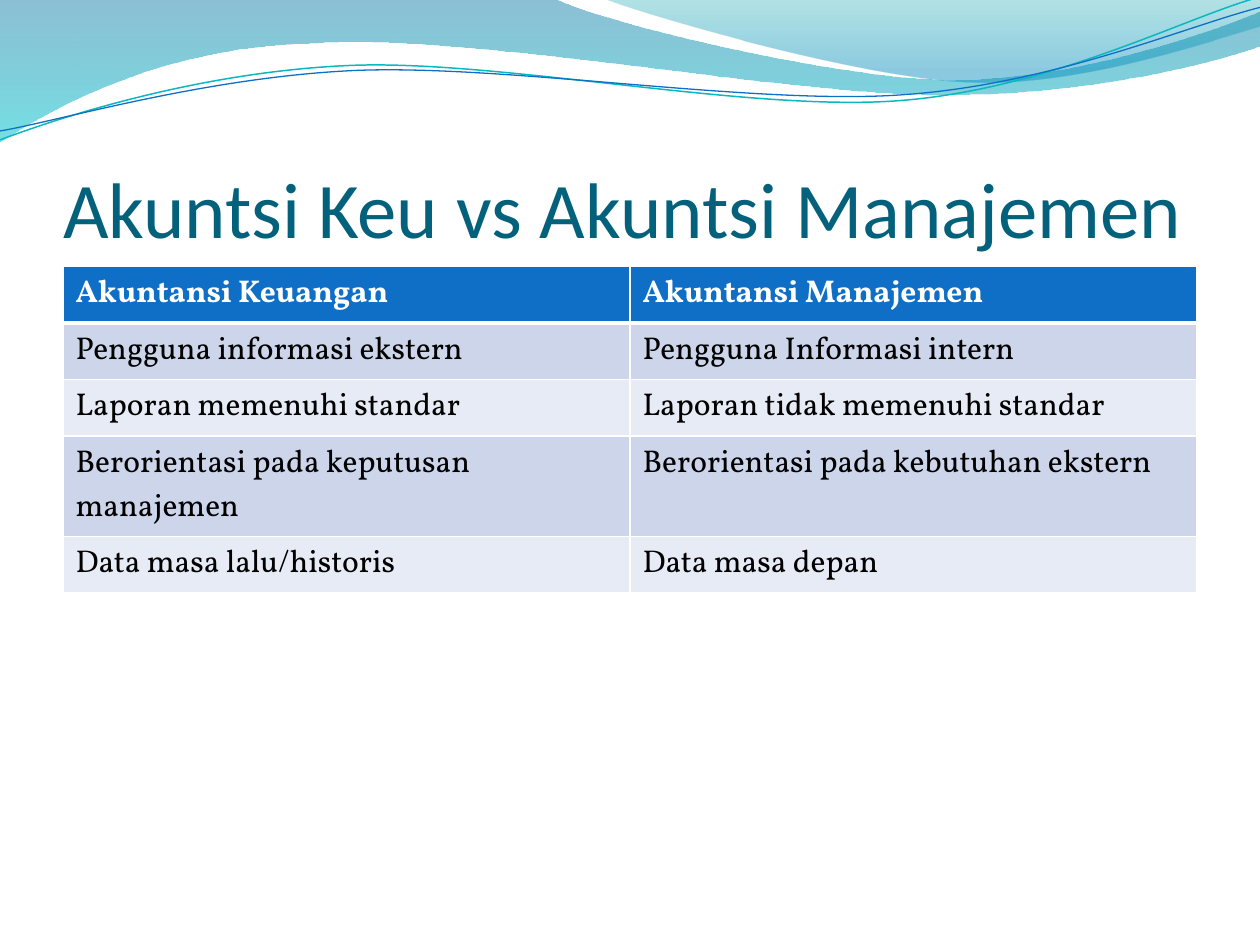
import math

from lxml import etree
from pptx import Presentation
from pptx.dml.color import RGBColor
from pptx.enum.text import MSO_ANCHOR, MSO_AUTO_SIZE, PP_ALIGN
from pptx.oxml import parse_xml
from pptx.oxml.ns import nsdecls, qn
from pptx.util import Cm, Pt

LEFT = PP_ALIGN.LEFT
BOTTOM = MSO_ANCHOR.BOTTOM
NO_AUTOFIT = MSO_AUTO_SIZE.NONE
WAVE_TILT = 2.7
COLORS = {
    "title": "04617B", "header": "0F6FC6", "odd": "CCD5EA", "even": "E7EBF5",
    "white": "FFFFFF", "black": "000000", "teal": "0AB8BF", "blue": "0F6FC6",
}


def write_text(text_frame, text, font="Vollkorn", size=18, color="black", bold=False):
    """Put one left-aligned, formatted run into a text frame."""
    paragraph = text_frame.paragraphs[0]
    paragraph.alignment = LEFT
    run = paragraph.add_run()
    run.text = text
    run.font.name = font
    run.font.size = Pt(size)
    run.font.bold = bold
    run.font.color.rgb = RGBColor.from_string(COLORS[color])


def draw_curve(shapes, start, segments, closed, tilt=0, center=(0, 0)):
    """Draw a freeform from lines (one point) and Bezier curves (three points), in cm."""
    cosine, sine = math.cos(math.radians(tilt)), math.sin(math.radians(tilt))
    lengths = []
    for x, y in [start, *(point for segment in segments for point in segment)]:
        across, down = x - center[0], y - center[1]
        lengths.append((Cm(center[0] + across * cosine - down * sine),
                        Cm(center[1] + across * sine + down * cosine)))
    builder = shapes.build_freeform(*lengths[0], scale=1.0)
    builder.add_line_segments(lengths[1:], close=closed)
    shape = builder.convert_to_shape()
    shape.shadow.inherit = False
    shape.rotation = -tilt
    straight_parts = iter(list(shape._element.iter(qn("a:lnTo"))))
    for segment in segments:
        parts = [next(straight_parts) for _ in segment]
        if len(parts) == 3:
            curve = etree.Element(qn("a:cubicBezTo"))
            parts[0].addprevious(curve)
            for part in parts:
                curve.append(part[0])
                part.getparent().remove(part)
    return shape


presentation = Presentation()
presentation.slide_width = Cm(25.4)
presentation.slide_height = Cm(19.05)
slide = presentation.slides.add_slide(presentation.slide_layouts[5])

# Wave bands: start, segments, gradient stops (position %, colour, opacity %)
bands = [
    ((0, 0), [
        [(11.18, -0.03)],
        [(12.09, 0.43), (16.87, 1.6), (19.25, 1.6)],
        [(21.67, 1.6), (24.33, 0.66), (25.4, 0.23)],
        [(25.43, 0.91)],
        [(24.97, 1.12), (22.1, 1.93), (18.95, 1.91)],
        [(15.8, 1.91), (9.7, 0.71), (6.53, 0.86)],
        [(3.28, 0.91), (1.17, 2.11), (-0.03, 2.87)],
    ], [(0, "0074A1", 45), (100, "00C6CF", 55)]),
    ((12.17, -0.03), [
        [(12.93, 0.28), (17.32, 1.57), (19.53, 1.65)],
        [(21.74, 1.75), (24.41, 0.81), (25.4, 0.53)],
        [(25.4, 0)],
    ], [(0, "00A1A9", 30), (80, "008BBF", 45)]),
]
for start, segments, stops in bands:
    band = draw_curve(slide.shapes, start, segments, closed=True)
    band.line.fill.background()
    stop_xml = "".join(
        f'<a:gs pos="{position * 1000}"><a:srgbClr val="{color}">'
        f'<a:alpha val="{opacity * 1000}"/></a:srgbClr></a:gs>'
        for position, color, opacity in stops)
    gradient = parse_xml(
        f'<a:gradFill {nsdecls("a")} rotWithShape="1"><a:gsLst>{stop_xml}</a:gsLst>'
        '<a:lin ang="5400000" scaled="0"/></a:gradFill>')
    band._element.spPr.find(qn("a:custGeom")).addnext(gradient)

# Thin wave lines: start, segments, centre, colour, width
wave_lines = [
    ((0, 2.82), [
        [(1.22, 2.36), (4.01, 1.45), (7.04, 1.32)],
        [(10.03, 1.19), (15.06, 2.26), (18.11, 2.03)],
        [(21.16, 1.8), (23.83, 0.38), (25.35, -0.05)],
    ], (12.67, 1.46), "teal", 0.85),
    ((0, 2.64), [
        [(1.19, 2.44), (4.17, 1.55), (7.19, 1.42)],
        [(10.24, 1.3), (15.27, 2.13), (18.21, 1.91)],
        [(21.23, 1.7), (23.9, 0.53), (25.4, 0.15)],
    ], (12.69, 1.5), "blue", 0.75),
]
for start, segments, center, color, width in wave_lines:
    wave_line = draw_curve(
        slide.shapes, start, segments, closed=False, tilt=WAVE_TILT, center=center)
    wave_line.fill.background()
    wave_line.line.color.rgb = RGBColor.from_string(COLORS[color])
    wave_line.line.width = Pt(width)

# Title, in front of the waves
title = slide.shapes.title
title.element.getparent().append(title.element)
title.left, title.top, title.width, title.height = Cm(1.27), Cm(1.95), Cm(22.86), Cm(3.17)
title_frame = title.text_frame
title_frame.auto_size = NO_AUTOFIT
title_frame.word_wrap = True
title_frame.vertical_anchor = BOTTOM
title_frame.margin_left = title_frame.margin_right = title_frame.margin_bottom = 0
title_frame.margin_top = Cm(0.13)
write_text(title_frame, "Akuntsi Keu vs Akuntsi Manajemen", font="Calibri", size=45, color="title")

# Comparison table
rows = [
    ("Akuntansi Keuangan", "Akuntansi Manajemen"),
    ("Pengguna informasi ekstern", "Pengguna Informasi intern"),
    ("Laporan memenuhi standar", "Laporan tidak memenuhi standar"),
    ("Berorientasi pada keputusan manajemen", "Berorientasi pada kebutuhan ekstern"),
    ("Data masa lalu/historis", "Data masa depan"),
]
row_height = Cm(1.03)
table = slide.shapes.add_table(
    len(rows), 2, Cm(1.27), Cm(5.37), Cm(22.86), row_height * len(rows)).table
for row_index, texts in enumerate(rows):
    table.rows[row_index].height = row_height
    is_header = row_index == 0
    fill = "header" if is_header else ("even", "odd")[row_index % 2]
    border_widths = {
        "lnL": 1, "lnR": 1,
        "lnT": 3 if row_index == 1 else 1,
        "lnB": 3 if is_header else 1,
    }
    for column_index, text in enumerate(texts):
        cell = table.cell(row_index, column_index)
        write_text(cell.text_frame, text, color="white" if is_header else "black", bold=is_header)
        properties = cell._tc.get_or_add_tcPr()
        for tag, width in border_widths.items():
            border = etree.SubElement(properties, qn(f"a:{tag}"), w=str(Pt(width)))
            solid = etree.SubElement(border, qn("a:solidFill"))
            etree.SubElement(solid, qn("a:srgbClr"), val=COLORS["white"])
        cell.fill.solid()
        cell.fill.fore_color.rgb = RGBColor.from_string(COLORS[fill])

presentation.save("out.pptx")
